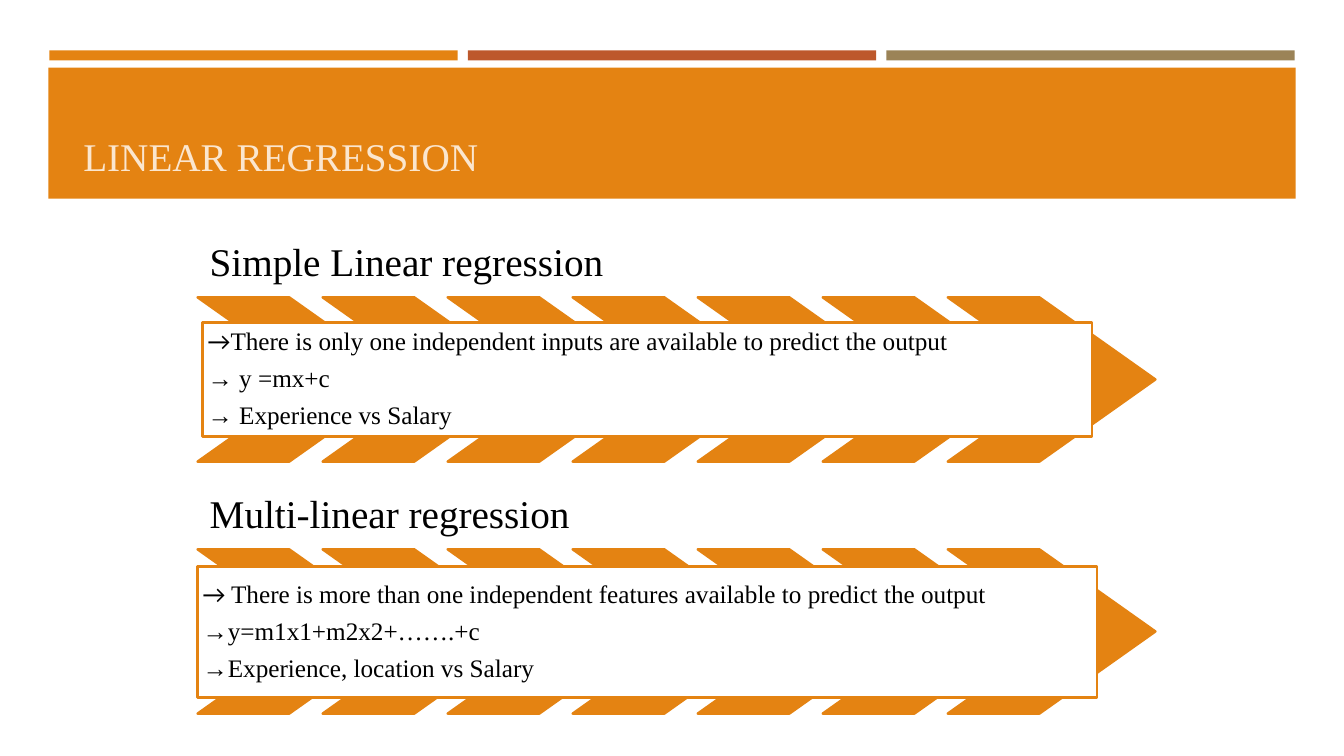
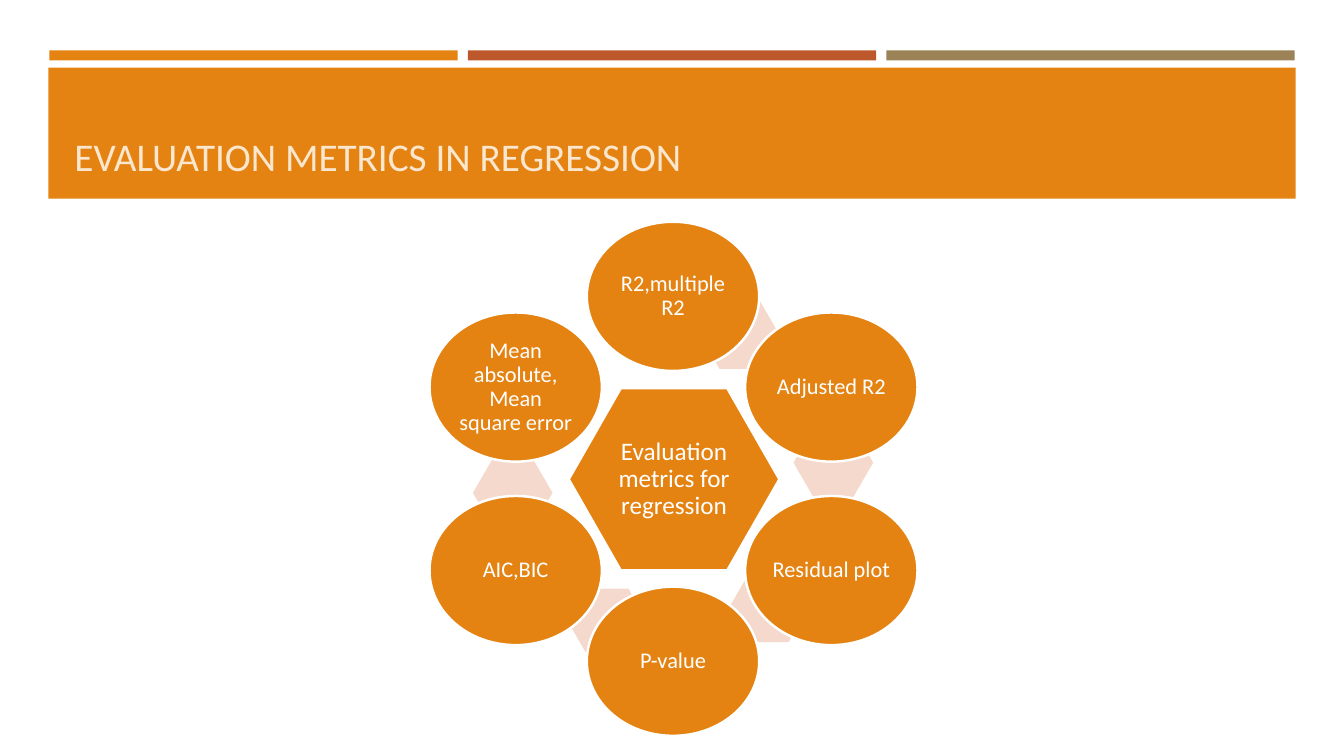
from math import cos, radians, sin

from pptx import Presentation
from pptx.dml.color import RGBColor
from pptx.enum.shapes import MSO_SHAPE
from pptx.enum.text import MSO_ANCHOR, PP_ALIGN
from pptx.util import Pt

PX = 9144  # 100 px to the inch
COLORS = {
    "orange": "E48312",
    "rust": "BD582C",
    "olive": "9B8357",
    "cream": "FBE6CE",
    "pink": "F5D9CC",
    "white": "FFFFFF",
    "black": "000000",
}
SANS, SERIF = "Calibri", "Times New Roman"


def add_shape(s, kind, box, fill, line=None, adj=None):
    sp = s.shapes.add_shape(kind, *(round(v) * PX for v in box))
    sp.shadow.inherit = False
    sp.fill.solid()
    sp.fill.fore_color.rgb = RGBColor.from_string(COLORS[fill])
    if line:
        sp.line.color.rgb = RGBColor.from_string(COLORS[line])
        sp.line.width = Pt(1.75)
    else:
        sp.line.fill.background()
    if adj is not None:
        sp.adjustments[0] = adj
    return sp


def add_text(sp, paragraphs, size, color, anchor, inset, align=PP_ALIGN.LEFT, spacing=0.9):
    """Fill a shape with paragraphs, each a list of (text, font) runs."""
    tf = sp.text_frame
    tf.word_wrap = True
    tf.vertical_anchor = anchor
    tf.margin_left = tf.margin_right = tf.margin_top = tf.margin_bottom = inset * PX
    for i, runs in enumerate(paragraphs):
        p = tf.paragraphs[0] if i == 0 else tf.add_paragraph()
        p.alignment = align
        p.line_spacing = spacing
        if i < len(paragraphs) - 1:
            p.space_after = Pt(7)
        for text, font in runs:
            r = p.add_run()
            r.text = text
            r.font.name = font
            r.font.size = Pt(size)
            r.font.color.rgb = RGBColor.from_string(COLORS[color])


prs = Presentation()
prs.slide_width, prs.slide_height = 1333 * PX, 750 * PX

# Shared bands and titles
titles = [
    [(" ", SANS), ("LINEAR REGRESSION", SERIF)],
    [("EVALUATION METRICS IN REGRESSION", SANS)],
]
slides = []
for title in titles:
    s = prs.slides.add_slide(prs.slide_layouts[6])
    for i, color in enumerate(["orange", "rust", "olive"]):
        add_shape(s, MSO_SHAPE.RECTANGLE, (49 + i * 415, 50, 405, 10), color)
    add_shape(s, MSO_SHAPE.RECTANGLE, (48, 67, 1237, 130), "orange")
    tb = s.shapes.add_textbox(64 * PX, 77 * PX, 1206 * PX, 111 * PX)
    add_text(tb, [title], 28, "cream", MSO_ANCHOR.BOTTOM, 10, spacing=1.0)
    slides.append(s)
regression, metrics = slides

# Two kinds of regression, each a heading over a chevron arrow
sections = [
    (215, "Simple Linear regression", (201, 320, 882, 113), [
        [("→", SANS),
         ("There is only one independent inputs are available to predict the output", SERIF)],
        [("→ y =mx+c", SERIF)],
        [("→ Experience vs Salary", SERIF)],
    ]),
    (465, "Multi-linear regression", (196, 562, 892, 130), [
        [("→ ", SANS),
         ("There is more than one independent features available to predict the output", SERIF)],
        [("→y=m1x1+m2x2+…….+c", SERIF)],
        [("→Experience, location vs Salary", SERIF)],
    ]),
]
for top, heading, box, lines in sections:
    tb = regression.shapes.add_textbox(196 * PX, top * PX, 881 * PX, 80 * PX)
    add_text(tb, [[(heading, SERIF)]], 28, "black", MSO_ANCHOR.BOTTOM, 12)
    for i in range(7):
        add_shape(regression, MSO_SHAPE.CHEVRON, (196 + i * 124, top + 80, 206, 163),
                  "orange", "orange", 0.706)
    sp = add_shape(regression, MSO_SHAPE.RECTANGLE, box, "white", "orange")
    add_text(sp, lines, 18, "black", MSO_ANCHOR.MIDDLE, 5)

# Ring of metrics around a hexagon
CX, CY, RADIUS = 668, 475, 181
OVAL_W, OVAL_H = 171, 148
sp = add_shape(metrics, MSO_SHAPE.HEXAGON, (564, 385, 209, 181), "orange", "white", 0.286)
add_text(sp, [[("Evaluation metrics for regression", SANS)]], 18, "white",
         MSO_ANCHOR.MIDDLE, 3, PP_ALIGN.CENTER)

for left, top in [(694, 298), (787, 425), (723, 569), (564, 584), (469, 455)]:
    add_shape(metrics, MSO_SHAPE.HEXAGON, (left, top, 79, 68), "pink", adj=0.289)

names = ["R2,multiple R2", "Adjusted R2", "Residual plot", "P-value", "AIC,BIC",
         "Mean absolute, Mean square error"]
for i, name in enumerate(names):
    angle = radians(i * 360 / len(names) - 90)
    left = CX + RADIUS * cos(angle) - OVAL_W / 2
    top = CY + RADIUS * sin(angle) - OVAL_H / 2
    sp = add_shape(metrics, MSO_SHAPE.OVAL, (left, top, OVAL_W, OVAL_H), "orange", "white")
    add_text(sp, [[(name, SANS)]], 16, "white", MSO_ANCHOR.MIDDLE, 2, PP_ALIGN.CENTER)

prs.save("out.pptx")
